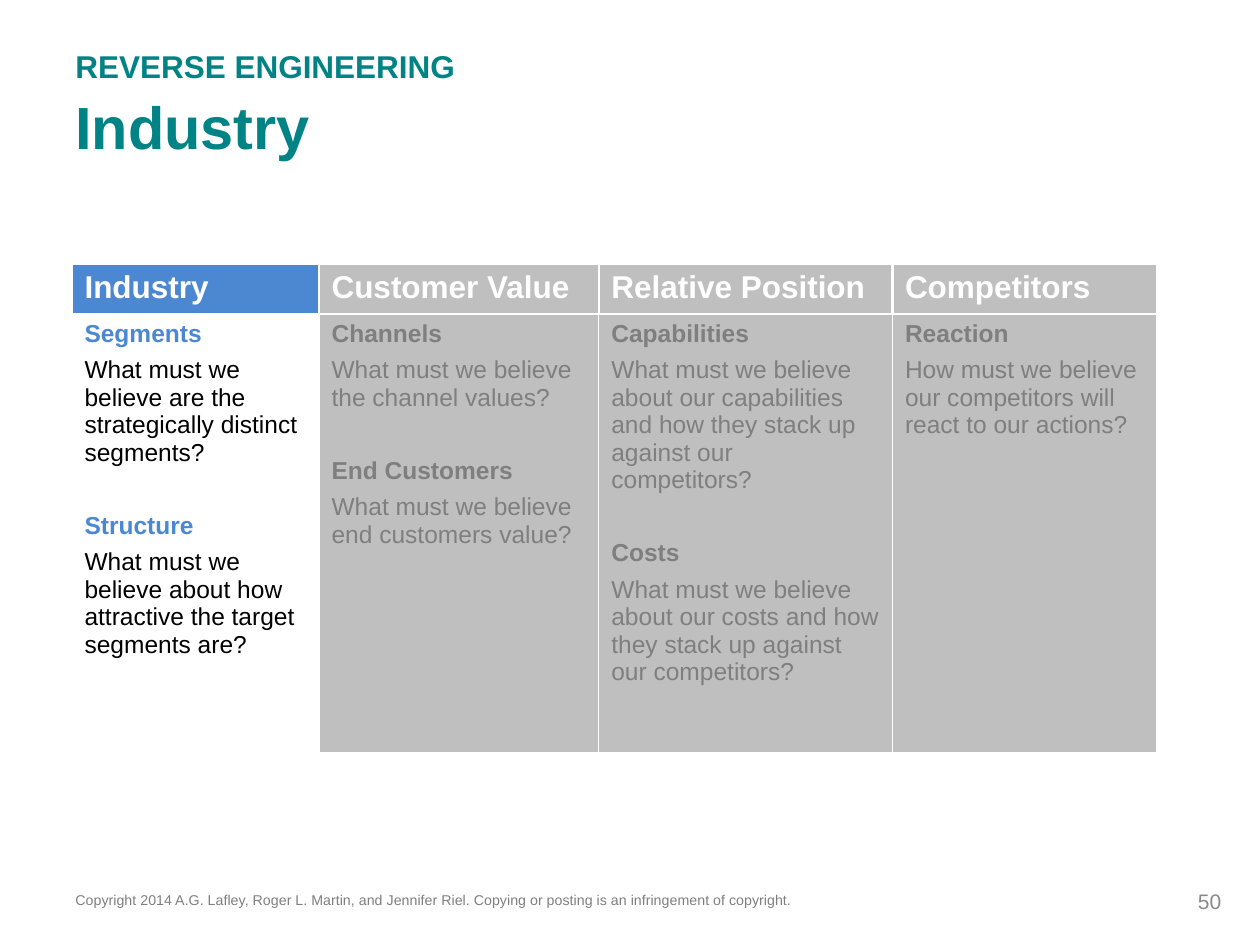
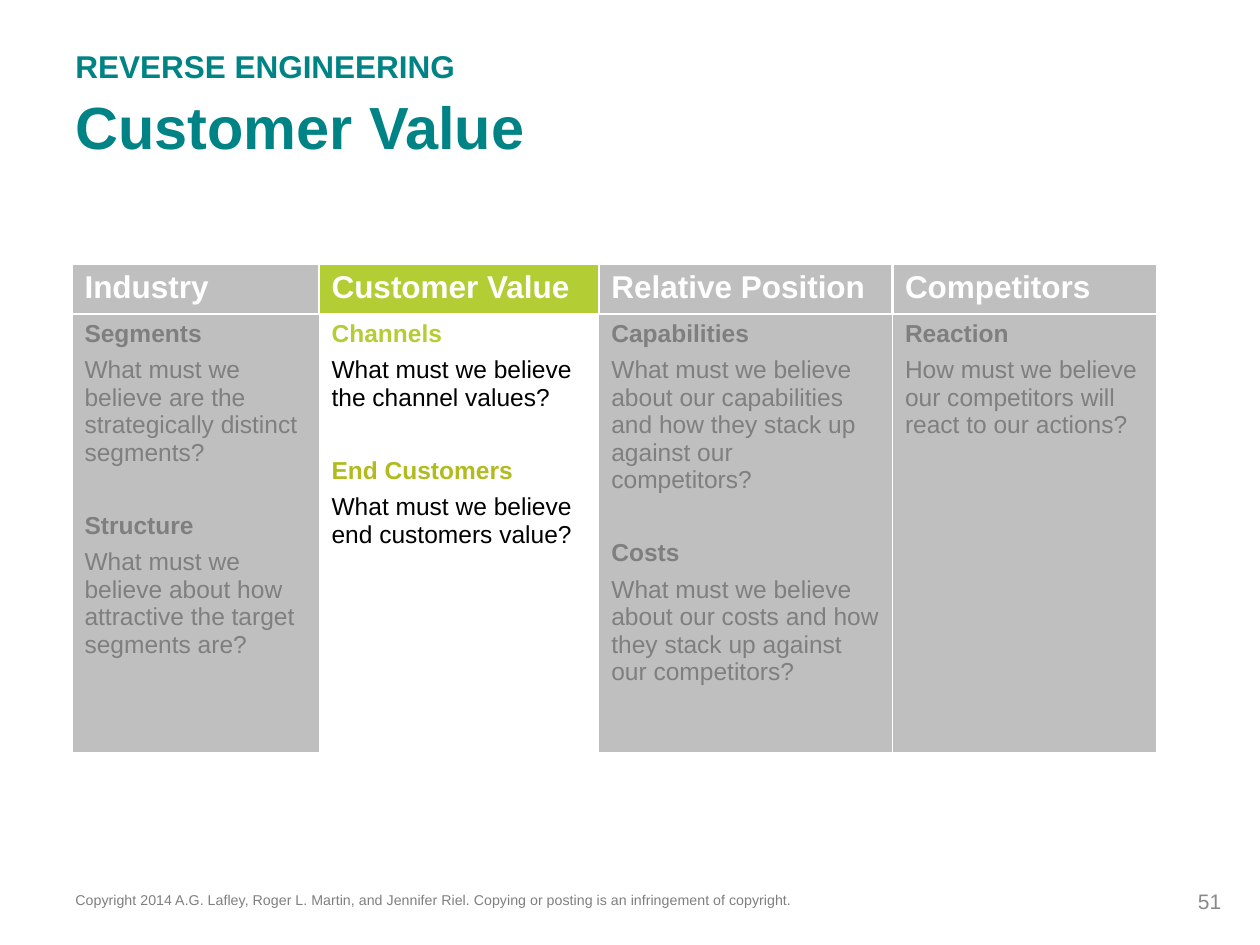
from lxml import etree
from pptx import Presentation
from pptx.dml.color import RGBColor
from pptx.enum.text import MSO_ANCHOR, MSO_AUTO_SIZE, PP_ALIGN
from pptx.oxml.ns import qn
from pptx.util import Cm, Pt

TOP, MIDDLE = MSO_ANCHOR.TOP, MSO_ANCHOR.MIDDLE
LEFT, RIGHT = PP_ALIGN.LEFT, PP_ALIGN.RIGHT
NO_AUTOFIT = MSO_AUTO_SIZE.NONE
TITLE_ONLY = 5

# Colours
TEAL = RGBColor(0x00, 0x83, 0x85)
BLUE = RGBColor(0x4C, 0x87, 0xD2)
LIME = RGBColor(0xB3, 0xCE, 0x35)
OLIVE = RGBColor(0xB2, 0xBB, 0x1E)
SILVER = RGBColor(0xBF, 0xBF, 0xBF)
GREY = RGBColor(0x7F, 0x7F, 0x7F)
NUMBER_GREY = RGBColor(0x89, 0x89, 0x89)
BLACK = RGBColor(0x00, 0x00, 0x00)
WHITE = RGBColor(0xFF, 0xFF, 0xFF)

# Text formats
KICKER = dict(size=Pt(18), bold=True, color=TEAL)
TITLE = dict(size=Pt(34), bold=True, color=TEAL)
COLUMN_HEAD = dict(size=Pt(18), bold=True, color=WHITE)
TOPIC = dict(size=Pt(14), bold=True)
QUESTION = dict(size=Pt(14), bold=False)
COPYRIGHT = dict(size=Pt(14), bold=False, color=GREY)
PAGE_NUMBER = dict(size=Pt(12), bold=False, color=NUMBER_GREY)

# Boxes: left, top, width, height
TITLE_BOX = Cm(1.27), Cm(0.76), Cm(22.99), Cm(3.18)
TABLE_BOX = Cm(1.45), Cm(5.31), Cm(21.87), Cm(9.86)
COPYRIGHT_BOX = Cm(1.27), Cm(17.78), Cm(18.72), Cm(0.86)
NUMBER_BOX = Cm(18.95), Cm(17.65), Cm(5.92), Cm(1.02)

COLUMN_WIDTHS = Cm(4.98), Cm(5.64), Cm(5.92), Cm(5.33)
HEAD_HEIGHT = Cm(1.02)
THICK, THIN = Pt(1.47), Pt(0.45)
QUESTION_GAP, TOPIC_GAP = Pt(5), Pt(26)

COPYRIGHT_TEXT = ("Copyright 2014 A.G. Lafley, Roger L. Martin, and Jennifer Riel. "
                  "Copying or posting is an infringement of copyright.")

# Column heading, then its topics with their questions
COLUMNS = [
    ("Industry", [
        ("Segments", "What must we believe are the strategically distinct segments?"),
        ("Structure", "What must we believe about how attractive the target segments are?"),
    ]),
    ("Customer Value", [
        ("Channels", "What must we believe the channel values?"),
        ("End Customers", "What must we believe end customers value?"),
    ]),
    ("Relative Position", [
        ("Capabilities", "What must we believe about our capabilities and how they "
                         "stack up against our competitors?"),
        ("Costs", "What must we believe about our costs and how they stack up "
                  "against our competitors?"),
    ]),
    ("Competitors", [
        ("Reaction", "How must we believe our competitors will react to our actions?"),
    ]),
]

# Page number, active column, colour of each topic in it
PAGES = [(50, 0, (BLUE, BLUE)), (51, 1, (LIME, OLIVE))]


def write(para, text, text_format, color=None, align=LEFT, gap=Pt(0)):
    para.alignment = align
    para.space_before = gap
    span = para.add_run()
    span.text = text
    span.font.name = "Arial"
    for name, value in text_format.items():
        if name == "color":
            color = value
        else:
            setattr(span.font, name, value)
    span.font.color.rgb = color
    return span


def set_frame(frame, anchor=TOP, top_inset=Cm(0.13)):
    settings = dict(word_wrap=True, auto_size=NO_AUTOFIT, vertical_anchor=anchor,
                    margin_left=Cm(0.25), margin_right=Cm(0.25),
                    margin_top=top_inset, margin_bottom=Cm(0.13))
    for name, value in settings.items():
        setattr(frame, name, value)


def add_title(page, box, text):
    title = page.shapes.title
    title.left, title.top, title.width, title.height = box
    frame = title.text_frame
    set_frame(frame, top_inset=Cm(0.18))
    write(frame.paragraphs[0], "REVERSE ENGINEERING", KICKER)
    write(frame.add_paragraph(), text, TITLE, gap=Pt(3))


def add_line_of_text(page, box, text, text_format, anchor=TOP, align=LEFT):
    frame = page.shapes.add_textbox(*box).text_frame
    set_frame(frame, anchor)
    return write(frame.paragraphs[0], text, text_format, align=align)


def add_footer(page, number):
    span = add_line_of_text(page, COPYRIGHT_BOX, COPYRIGHT_TEXT, COPYRIGHT)
    span.font._element.set("baseline", "30000")  # raised, small print
    add_line_of_text(page, NUMBER_BOX, str(number), PAGE_NUMBER, MIDDLE, RIGHT)


def format_cell(cell, fill, side_width):
    """Draw white borders, then fill the cell or leave it clear."""
    properties = cell._tc.get_or_add_tcPr()
    for side in "LRTB":
        width = THICK if side == "T" else side_width
        line = etree.SubElement(properties, qn(f"a:ln{side}"), w=str(int(width)))
        solid = etree.SubElement(line, qn("a:solidFill"))
        etree.SubElement(solid, qn("a:srgbClr"), val=str(WHITE))
    if fill is None:
        cell.fill.background()
    else:
        cell.fill.solid()
        cell.fill.fore_color.rgb = fill


def fill_topics(cell, topics, topic_colors, question_color):
    frame = cell.text_frame
    for index, (topic, question) in enumerate(topics):
        para = frame.add_paragraph() if index else frame.paragraphs[0]
        write(para, topic, TOPIC, topic_colors[index], gap=TOPIC_GAP if index else Pt(0))
        write(frame.add_paragraph(), question, QUESTION, question_color, gap=QUESTION_GAP)


def add_question_table(page, box, active, accents):
    table = page.shapes.add_table(2, len(COLUMNS), *box).table
    table.first_row = table.horz_banding = False
    table.rows[0].height = HEAD_HEIGHT
    table.rows[1].height = box[3] - HEAD_HEIGHT
    for index, (heading, topics) in enumerate(COLUMNS):
        is_active = index == active
        table.columns[index].width = COLUMN_WIDTHS[index]
        head, body = table.cell(0, index), table.cell(1, index)
        format_cell(head, accents[0] if is_active else SILVER, THICK)
        write(head.text_frame.paragraphs[0], heading, COLUMN_HEAD)
        format_cell(body, None if is_active else SILVER, THIN)
        fill_topics(body, topics, accents if is_active else (GREY, GREY),
                    BLACK if is_active else GREY)


def add_column_page(deck, number, active, accents):
    page = deck.slides.add_slide(deck.slide_layouts[TITLE_ONLY])
    add_title(page, TITLE_BOX, COLUMNS[active][0])
    add_question_table(page, TABLE_BOX, active, accents)
    add_footer(page, number)


def main():
    deck = Presentation()
    deck.slide_width, deck.slide_height = Cm(25.4), Cm(19.05)
    for number, active, accents in PAGES:
        add_column_page(deck, number, active, accents)
    deck.save("out.pptx")


if __name__ == "__main__":
    main()
